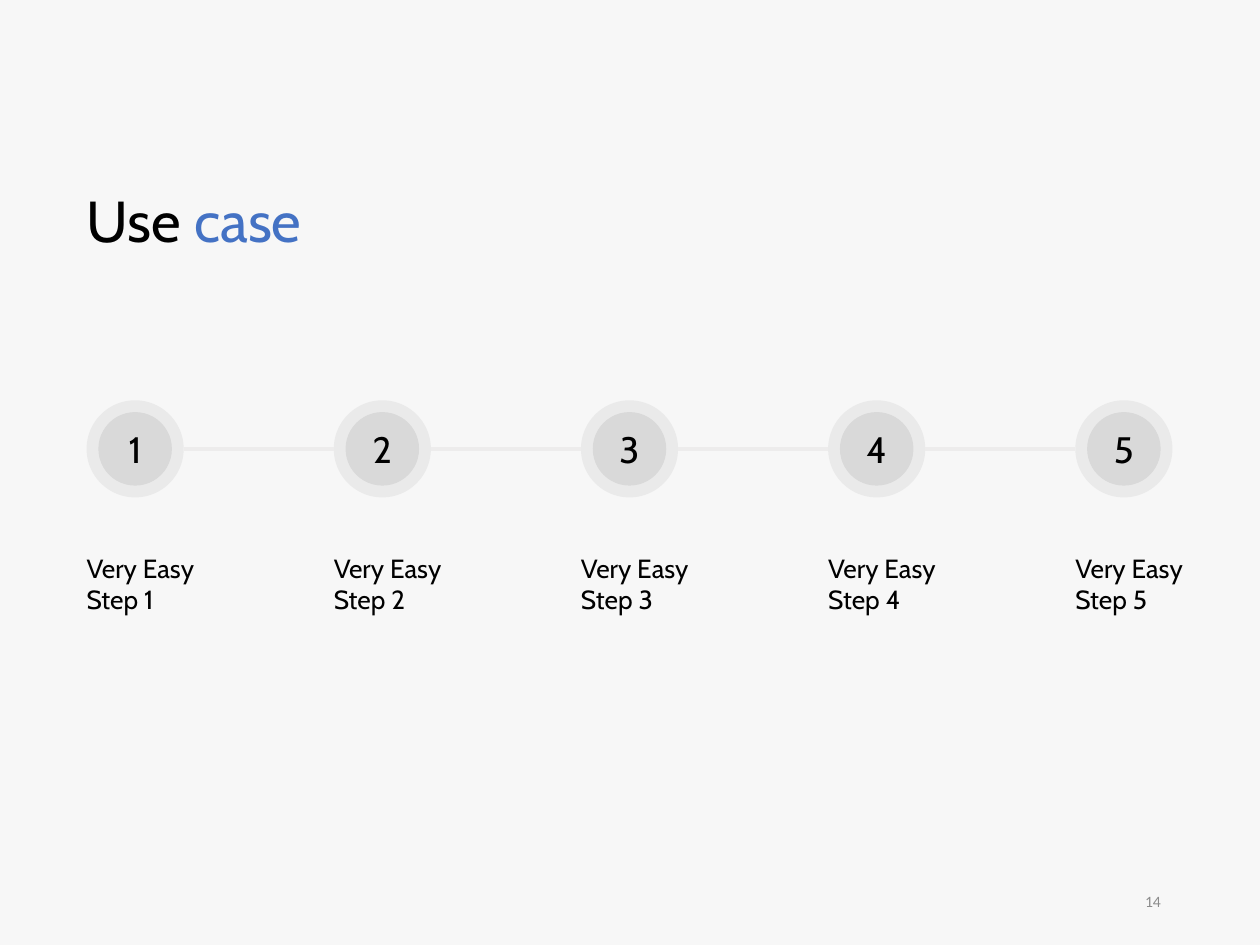
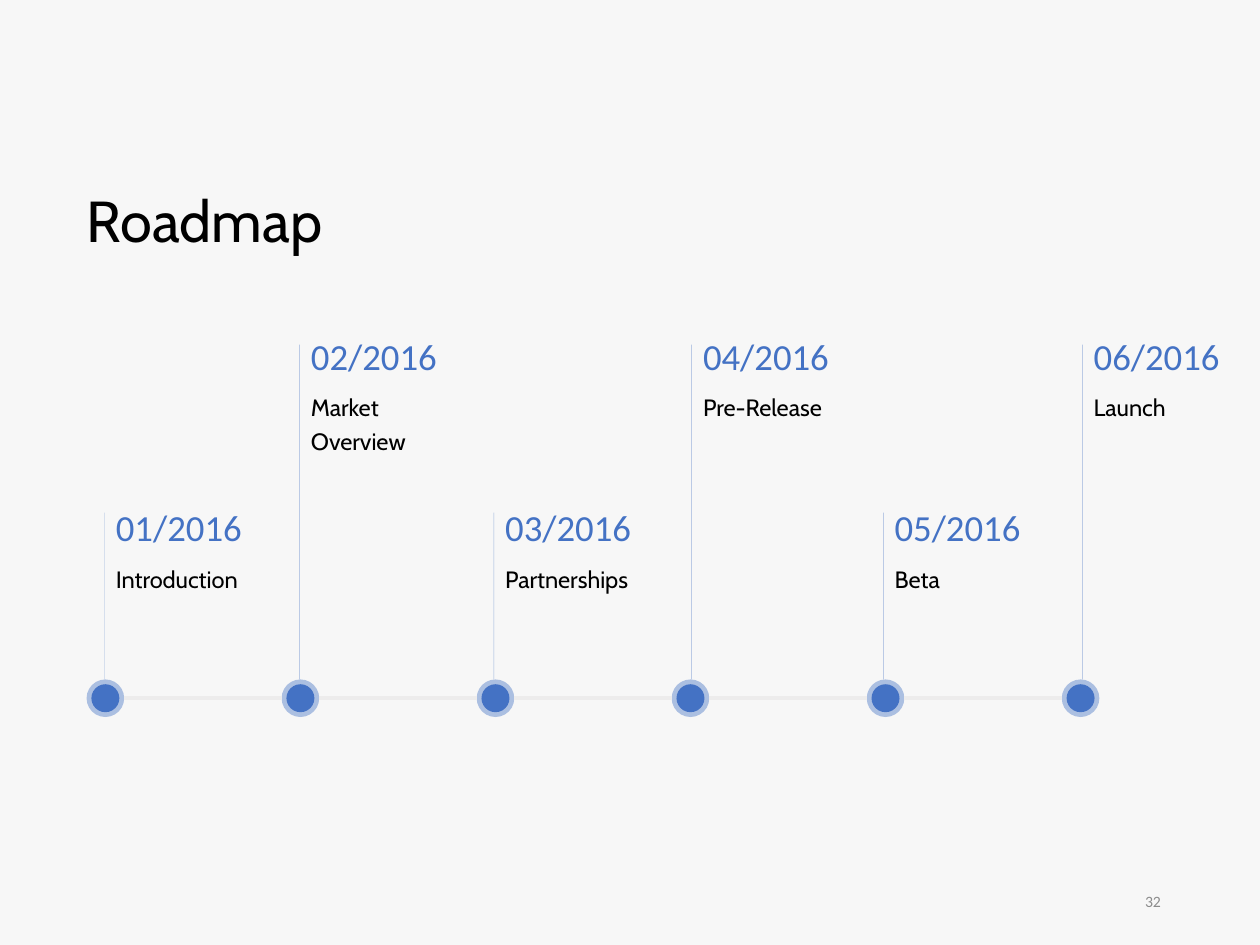
from dataclasses import dataclass
from itertools import pairwise

from pptx import Presentation
from pptx.dml.color import RGBColor
from pptx.enum.shapes import MSO_CONNECTOR, MSO_SHAPE
from pptx.enum.text import MSO_ANCHOR, MSO_AUTO_SIZE, PP_ALIGN
from pptx.oxml.ns import qn
from pptx.util import Pt
from lxml.etree import SubElement

COLORS = {
    "background": "F7F7F7",
    "text": "000000",
    "accent": "4472C4",
    "circle": "D9D9D9",
    "rail": "EDECEC",
    "number": "8C8C8C",
}
HEADING_FONT = "Cabin"
BODY_FONT = "Calibri"
LEFT = 49.5
RING_OPACITY = 42
STEM_OPACITY = 51


@dataclass(frozen=True)
class Badge:
    """A core circle centred in a translucent ring."""
    center_x: float
    center_y: float
    ring: float
    core: float
    color: str
    number: str = ""


@dataclass(frozen=True)
class Level:
    stem_top: float
    date_top: float
    caption_top: float


@dataclass(frozen=True)
class Milestone:
    date: str
    caption: str
    stem_x: float
    level: Level
    caption_height: float = 25


LOW = Level(stem_top=293, date_top=285, caption_top=316)
HIGH = Level(stem_top=197, date_top=187, caption_top=218)
MILESTONES = [
    Milestone("01/2016", "Introduction", 59.75, LOW),
    Milestone("02/2016", "Market Overview", 171.25, HIGH, 44.5),
    Milestone("03/2016", "Partnerships", 282.25, LOW),
    Milestone("04/2016", "Pre-Release", 395.25, HIGH),
    Milestone("05/2016", "Beta", 504.75, LOW),
    Milestone("06/2016", "Launch", 618.5, HIGH),
]


def rgb(name: str) -> RGBColor:
    return RGBColor.from_string(COLORS[name])


def set_opacity(shape, percent: int) -> None:
    for color in shape.element.spPr.iter(qn("a:srgbClr")):
        SubElement(color, qn("a:alpha"), val=str(percent * 1000))


def write(frame, spans, *, size: float, font: str = HEADING_FONT,
          align=PP_ALIGN.LEFT, anchor=MSO_ANCHOR.TOP, spacing: float = 1.0) -> None:
    """Fill a text frame with one paragraph of (text, colour name) spans."""
    frame.word_wrap = True
    frame.vertical_anchor = anchor
    para = frame.paragraphs[0]
    para.alignment = align
    para.line_spacing = spacing
    for text, color in spans:
        span = para.add_run()
        span.text = text
        span.font.size = Pt(size)
        span.font.name = font
        span.font.color.rgb = rgb(color)


def add_text(page, left: float, top: float, width: float, height: float, spans, *,
             inset: float = 0, grow: bool = True, **style) -> None:
    box = page.shapes.add_textbox(Pt(left), Pt(top), Pt(width), Pt(height))
    frame = box.text_frame
    frame.margin_left = Pt(inset)
    frame.auto_size = MSO_AUTO_SIZE.SHAPE_TO_FIT_TEXT if grow else MSO_AUTO_SIZE.NONE
    write(frame, spans, **style)


def add_line(page, start: tuple[float, float], end: tuple[float, float],
             color: str, width: float):
    line = page.shapes.add_connector(
        MSO_CONNECTOR.STRAIGHT, *(Pt(value) for value in (*start, *end)))
    line.line.color.rgb = rgb(color)
    line.line.width = Pt(width)
    SubElement(line.element.spPr, qn("a:effectLst"))
    return line


def add_circle(group, badge: Badge, diameter: float):
    circle = group.shapes.add_shape(
        MSO_SHAPE.OVAL, Pt(badge.center_x - diameter / 2),
        Pt(badge.center_y - diameter / 2), Pt(diameter), Pt(diameter))
    circle.shadow.inherit = False
    circle.fill.solid()
    circle.fill.fore_color.rgb = rgb(badge.color)
    circle.line.fill.background()
    return circle


def add_badge(page, badge: Badge) -> None:
    group = page.shapes.add_group_shape()
    add_circle(group, badge, badge.core)
    ring = add_circle(group, badge, badge.ring)
    set_opacity(ring, RING_OPACITY)
    if badge.number:
        write(ring.text_frame, [(badge.number, "text")], size=21,
              align=PP_ALIGN.CENTER, anchor=MSO_ANCHOR.MIDDLE)


def add_badge_row(page, badges: list[Badge]) -> None:
    """Draw the badges and the rails between neighbouring rings."""
    for badge in badges:
        add_badge(page, badge)
    for first, second in pairwise(badges):
        add_line(page, (first.center_x + first.ring / 2, first.center_y),
                 (second.center_x - second.ring / 2, second.center_y), "rail", 2.25)


def add_page(deck, title, number: int):
    page = deck.slides.add_slide(deck.slide_layouts[6])
    page.background.fill.solid()
    page.background.fill.fore_color.rgb = rgb("background")
    add_text(page, LEFT, 106.5, 265, 43, title, size=33, spacing=0.9)
    add_text(page, 508.5, 500.5, 162, 28.75, [(str(number), "number")], inset=7.2,
             grow=False, size=9, font=BODY_FONT, align=PP_ALIGN.RIGHT,
             anchor=MSO_ANCHOR.MIDDLE)
    return page


def build_use_case(deck) -> None:
    page = add_page(deck, [("Use ", "text"), ("case", "accent")], 14)
    ring, pitch, count = 55.5, 141.25, 5
    add_badge_row(page, [
        Badge(LEFT + ring / 2 + index * pitch, 256.5, ring, 42, "circle", str(index + 1))
        for index in range(count)])
    for index in range(count):
        add_text(page, LEFT + index * pitch, 312, 91.5, 44,
                 [(f"Very Easy Step {index + 1}", "text")], size=15)


def build_roadmap(deck) -> None:
    page = add_page(deck, [("Roadmap", "text")], 32)
    ring, pitch, rail_y = 21.5, 111.45, 399
    add_badge_row(page, [
        Badge(LEFT + ring / 2 + index * pitch, rail_y, ring, 16, "accent")
        for index in range(len(MILESTONES))])
    for item in MILESTONES:
        stem = add_line(page, (item.stem_x, rail_y - ring / 2),
                        (item.stem_x, item.level.stem_top), "accent", 0.25)
        set_opacity(stem, STEM_OPACITY)
        add_text(page, item.stem_x, item.level.date_top, 100, 32.5,
                 [(item.date, "accent")], inset=6.5, size=21, font=BODY_FONT)
        add_text(page, item.stem_x, item.level.caption_top, 100, item.caption_height,
                 [(item.caption, "text")], inset=6.5, size=13.5, spacing=1.2)


def main() -> None:
    deck = Presentation()
    deck.slide_width, deck.slide_height = Pt(720), Pt(540)
    build_use_case(deck)
    build_roadmap(deck)
    deck.save("out.pptx")


if __name__ == "__main__":
    main()
